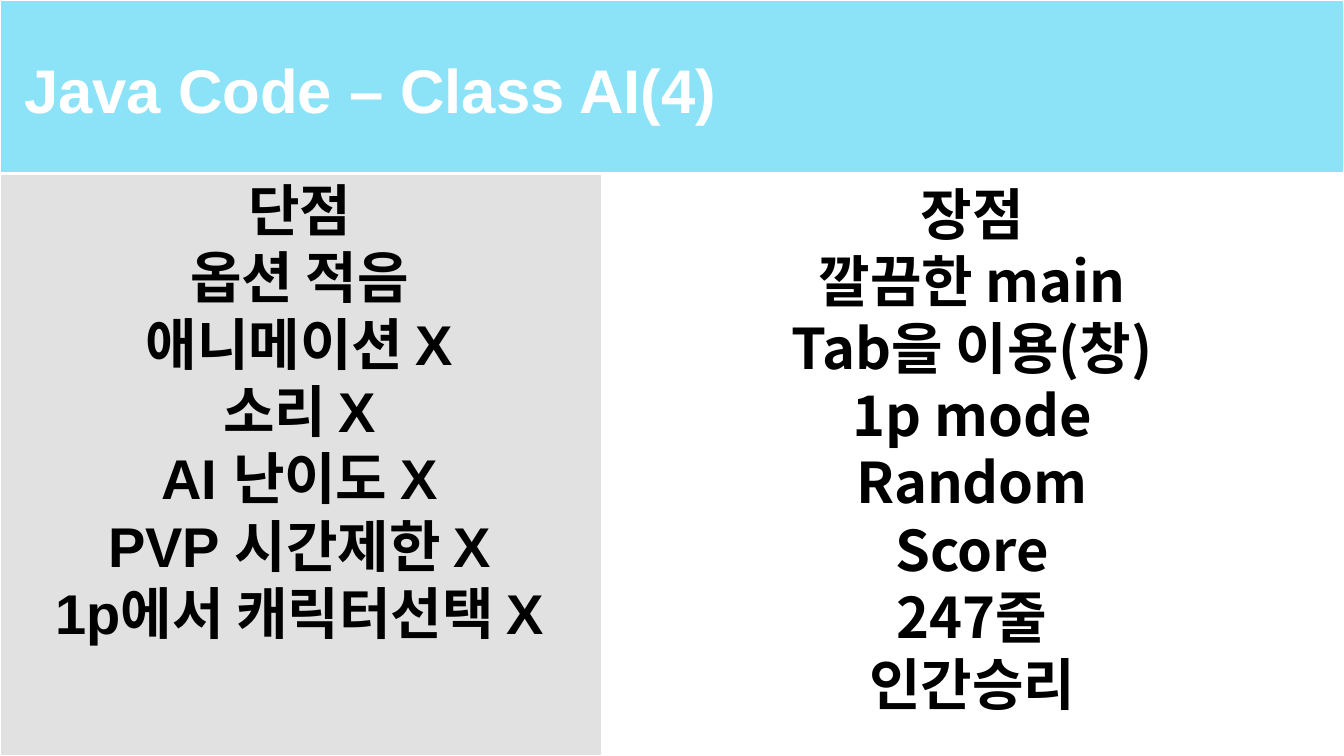
from dataclasses import dataclass

from pptx import Presentation
from pptx.dml.color import RGBColor
from pptx.enum.dml import MSO_FILL
from pptx.enum.text import MSO_ANCHOR, MSO_AUTO_SIZE, PP_ALIGN
from pptx.oxml import parse_xml
from pptx.oxml.ns import nsdecls, qn
from pptx.util import Cm, Pt

CENTER = PP_ALIGN.CENTER
MIDDLE = MSO_ANCHOR.MIDDLE
GROW = MSO_AUTO_SIZE.SHAPE_TO_FIT_TEXT
SOLID = MSO_FILL.SOLID


@dataclass(frozen=True)
class Theme:
    white: str = "FFFFFF"
    black: str = "000000"
    header: str = "8CE3F8"
    panel: str = "E1E1E1"
    latin: str = "Arial"
    korean: str = "Noto Sans CJK KR"
    title_size: int = 44
    body_size: int = 40
    body_leading: int = 48
    border: int = 1
    header_border: int = 3


class SlideBuilder:
    def __init__(self, slide, theme):
        self.slide = slide
        self.theme = theme

    def add_run(self, paragraph, text, size, color, font):
        run = paragraph.add_run()
        run.text = text
        run.font.size = Pt(size)
        run.font.bold = True
        run.font.name = font
        run.font.color.rgb = RGBColor.from_string(color)
        east_asian = parse_xml(f'<a:ea {nsdecls("a")} typeface="{self.theme.korean}"/>')
        run.font._element.find(qn("a:latin")).addnext(east_asian)

    def add_borders(self, cell, bottom):
        properties = cell._tc.get_or_add_tcPr()
        widths = {"lnL": self.theme.border, "lnR": self.theme.border,
                  "lnT": self.theme.border, "lnB": bottom}
        for position, (side, width) in enumerate(widths.items()):
            properties.insert(position, parse_xml(
                f'<a:{side} {nsdecls("a")} w="{Pt(width)}"><a:solidFill>'
                f'<a:srgbClr val="{self.theme.white}"/></a:solidFill></a:{side}>'))

    def add_layout_table(self, widths, heights, fills):
        frame = self.slide.shapes.add_table(
            len(heights), len(widths), 0, 0, Cm(sum(widths)), Cm(sum(heights)))
        table = frame.table
        table.first_row = False
        table.horz_banding = False
        for column, width in zip(table.columns, widths):
            column.width = Cm(width)
        for row, height, row_fills in zip(table.rows, heights, fills):
            row.height = Cm(height)
            for cell, color in zip(row.cells, row_fills):
                cell.fill.solid()
                cell.fill.fore_color.rgb = RGBColor.from_string(color)
        table.cell(0, 0).merge(table.cell(0, len(widths) - 1))
        for row_number, row in enumerate(table.rows):
            bottom = self.theme.border if row_number else self.theme.header_border
            for cell in row.cells:
                self.add_borders(cell, bottom)
        return table

    def add_title(self, cell, text):
        cell.vertical_anchor = MIDDLE
        paragraph = cell.text_frame.paragraphs[0]
        for part, font in ((" ", self.theme.korean), (text, self.theme.latin)):
            self.add_run(paragraph, part, self.theme.title_size, self.theme.white, font)

    def add_list(self, left, top, width, height, lines, font, level=0):
        shape = self.slide.shapes.add_textbox(Cm(left), Cm(top), Cm(width), Cm(height))
        frame = shape.text_frame
        frame.word_wrap = True
        frame.auto_size = GROW
        for number, line in enumerate(lines):
            paragraph = frame.add_paragraph() if number else frame.paragraphs[0]
            paragraph.alignment = CENTER
            paragraph.line_spacing = Pt(self.theme.body_leading)
            paragraph.level = level
            properties = paragraph._p.get_or_add_pPr()
            properties.set("marL", str(Cm(1.27 * level)))
            properties.set("indent", "0")
            self.add_run(paragraph, line, self.theme.body_size, self.theme.black, font)


def main():
    presentation = Presentation()
    presentation.slide_width = Cm(33.87)
    presentation.slide_height = Cm(19.05)
    slide = presentation.slides.add_slide(presentation.slide_layouts[6])
    theme = Theme()
    builder = SlideBuilder(slide, theme)

    table = builder.add_layout_table(
        (15.17, 18.7), (4.37, 14.68),
        ((theme.header, theme.header), (theme.panel, theme.white)))
    builder.add_title(table.cell(0, 0), "Java Code – Class AI(4)")

    strengths = ("장점", "깔끔한 main", "Tab을 이용(창)", "1p mode",
                 "Random", "Score", "247줄", "인간승리")
    weaknesses = ("단점", "옵션 적음", "애니메이션 X", "소리 X",
                  "AI 난이도 X", "PVP 시간제한 X", "1p에서 캐릭터선택 X")
    builder.add_list(15.98, 4.39, 15.77, 14.71, strengths, theme.korean, level=1)
    builder.add_list(0.3, 4.29, 14.5, 12.22, weaknesses, theme.latin)

    presentation.save("out.pptx")


if __name__ == "__main__":
    main()
